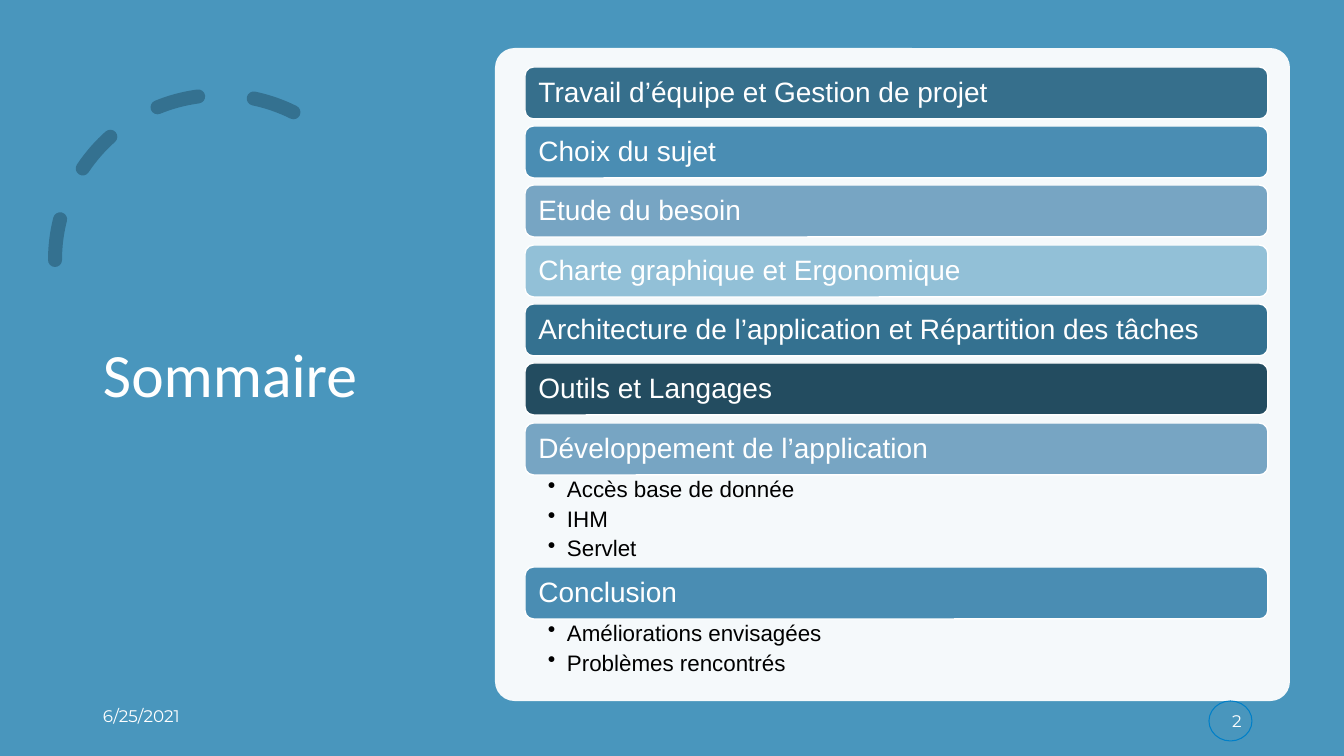
from lxml.etree import SubElement
from pptx import Presentation
from pptx.dml.color import RGBColor
from pptx.enum.dml import MSO_LINE
from pptx.enum.shapes import MSO_SHAPE
from pptx.enum.text import MSO_ANCHOR, PP_ALIGN
from pptx.oxml.ns import qn
from pptx.util import Pt

PX = 914400 / 100.8
COLOURS = {
    "background": "4996BD", "white": "FFFFFF", "black": "000000",
    "teal": "347190", "slate": "366F8C", "blue": "4A8DB3",
    "mist": "77A5C3", "sky": "92C0D7", "navy": "234C60", "badge": "007FC8",
}


def place(kind, left, top, width, height, fill=None, line=None, weight=1):
    """Add a preset shape, or a text box when kind is None."""
    frame = [round(value * PX) for value in (left, top, width, height)]
    if kind is None:
        return page.shapes.add_textbox(*frame)
    shape = page.shapes.add_shape(kind, *frame)
    shape.shadow.inherit = False
    if fill:
        shape.fill.solid()
        shape.fill.fore_color.rgb = RGBColor.from_string(COLOURS[fill])
    else:
        shape.fill.background()
    if line:
        shape.line.color.rgb = RGBColor.from_string(COLOURS[line])
        shape.line.width = Pt(weight)
    else:
        shape.line.fill.background()
    return shape


def write(shape, text, font="Arial", size=12, colour="white", insets=(10, 5, 10, 5),
          anchor=MSO_ANCHOR.MIDDLE, align=PP_ALIGN.LEFT, spacing=0.9, after=0,
          bullet=False, wrap=True):
    frame = shape.text_frame
    frame.word_wrap = wrap
    frame.vertical_anchor = anchor
    (frame.margin_left, frame.margin_top,
     frame.margin_right, frame.margin_bottom) = [round(inset * PX) for inset in insets]
    frame.text = text
    for para in frame.paragraphs:
        para.alignment = align
        para.line_spacing = spacing
        para.space_after = Pt(after)
        if bullet:
            properties = para._p.get_or_add_pPr()
            properties.set("marL", str(round(19 * PX)))
            properties.set("indent", str(round(-19 * PX)))
            SubElement(properties, qn("a:buChar"), char="•")
        para.font.name = font
        para.font.size = Pt(size)
        para.font.color.rgb = RGBColor.from_string(COLOURS[colour])


deck = Presentation()
deck.slide_width = round(1344 * PX)
deck.slide_height = round(756 * PX)
page = deck.slides.add_slide(deck.slide_layouts[5])
page.background.fill.solid()
page.background.fill.fore_color.rgb = RGBColor.from_string(COLOURS["background"])

title = page.shapes.title
title.left, title.top, title.width, title.height = [
    round(value * PX) for value in (93, 71, 326, 614)]
write(title, "Sommaire", font="Calibri", size=44)

arc = place(MSO_SHAPE.ARC, 55, 95, 330, 330, line="teal", weight=10)
arc.adjustments[0] = 146.13
arc.adjustments[1] = 0
arc.line.dash_style = MSO_LINE.DASH
arc.line._get_or_add_ln().set("cap", "rnd")
arc._element.spPr.find(qn("a:xfrm")).set("flipH", "1")

panel = place(MSO_SHAPE.ROUNDED_RECTANGLE, 495, 48, 795, 653, fill="white")
panel.adjustments[0] = 0.03
panel_colour = panel._element.spPr.find(qn("a:solidFill"))[0]
SubElement(panel_colour, qn("a:alpha"), val="95000")

date = place(None, 93, 701, 302, 40)
write(date, "6/25/2021", font="Montserrat", anchor=MSO_ANCHOR.TOP, spacing=1)
badge = place(MSO_SHAPE.OVAL, 1209, 701, 43, 40, fill="background", line="badge", weight=0.75)
write(badge, "2", font="Montserrat", insets=(0, 0, 4, 0), align=PP_ALIGN.RIGHT,
      spacing=1, wrap=False)

SECTIONS = [
    ("Travail d’équipe et Gestion de projet", "slate", []),
    ("Choix du sujet", "blue", []),
    ("Etude du besoin", "mist", []),
    ("Charte graphique et Ergonomique", "sky", []),
    ("Architecture de l’application et Répartition des tâches", "teal", []),
    ("Outils et Langages", "navy", []),
    ("Développement de l’application", "mist", ["Accès base de donnée", "IHM", "Servlet"]),
    ("Conclusion", "blue", ["Améliorations envisagées", "Problèmes rencontrés"]),
]
BAR_LEFT, BAR_WIDTH, BAR_HEIGHT, GAP = 525, 743, 52, 7
detail_shift = 0
for index, (heading, colour, details) in enumerate(SECTIONS):
    top = 67 + index * 356 // 6 + detail_shift
    bar = place(MSO_SHAPE.ROUNDED_RECTANGLE, BAR_LEFT, top, BAR_WIDTH, BAR_HEIGHT,
                fill=colour, line="white")
    write(bar, heading, size=20, insets=(11, 8, 11, 8))
    if details:
        height = len(details) * 61 // 2 + 1
        box = place(None, BAR_LEFT, top + BAR_HEIGHT, BAR_WIDTH, height)
        write(box, "\n".join(details), size=16, colour="black", insets=(23, 3, 16, 3),
              anchor=MSO_ANCHOR.TOP, after=4, bullet=True)
        detail_shift += height - GAP

deck.save("out.pptx")
